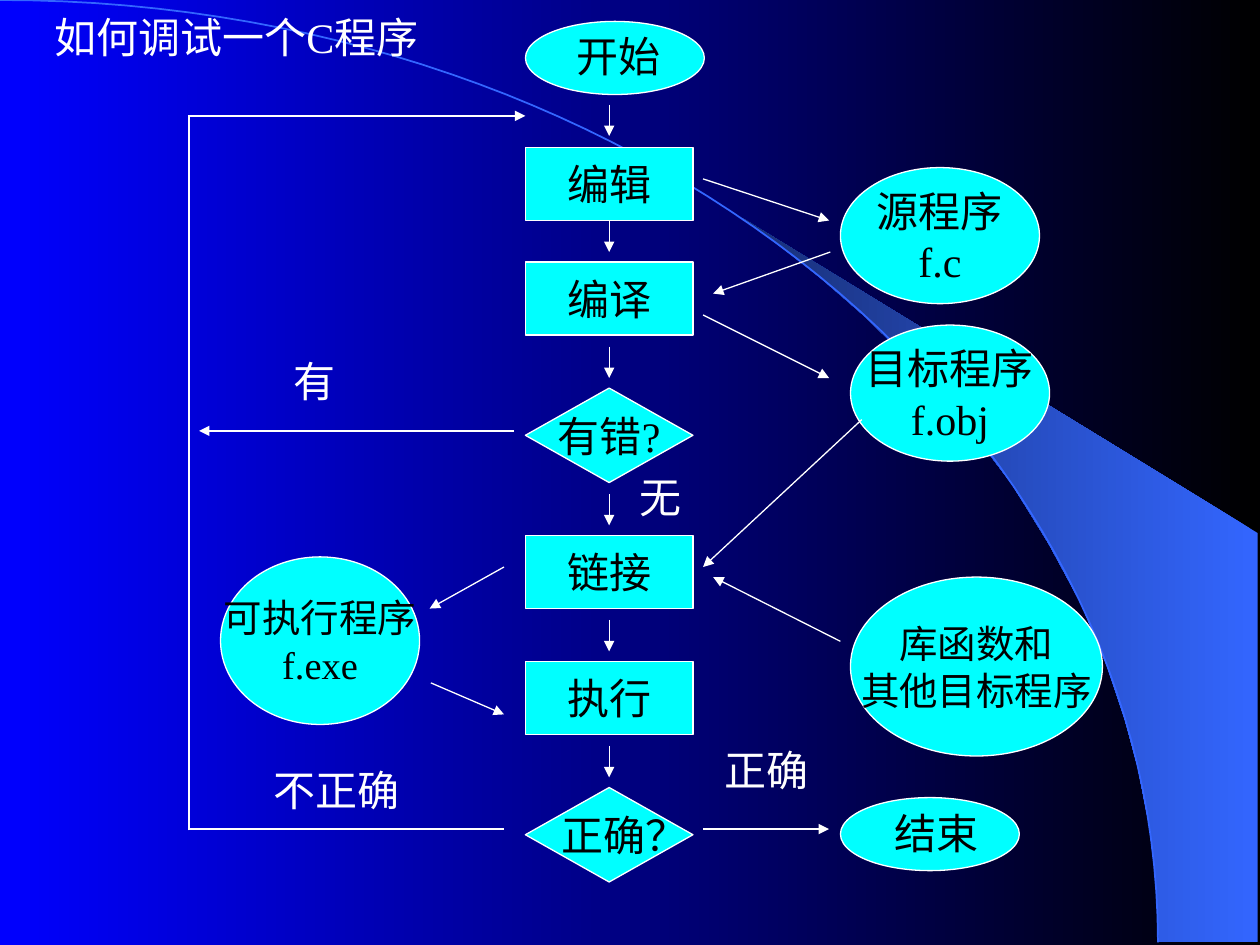
import pptx
import pptx.util
import pptx.dml.color
import pptx.enum.shapes
import pptx.enum.text
import pptx.oxml
import pptx.oxml.ns
import lxml.etree

Inches = pptx.util.Inches
Kind = pptx.enum.shapes.MSO_SHAPE
Anchor = pptx.enum.text.MSO_ANCHOR
Align = pptx.enum.text.PP_ALIGN
Fit = pptx.enum.text.MSO_AUTO_SIZE

THEME = {
    "font": "Times New Roman", "big": 24, "small": 22, "thin": 0.75, "arc": 1,
    "ink": "000000", "white": "FFFFFF", "node": "00FFFF",
    "night": "000000", "deep": "0000FF", "wing": "3366FF", "shade": "182F76",
}

TITLE = ("如何调试一个C程序", 0, 0, 3.75, 0.58)

MID = 4.17
STEPS = [
    ("rect", "编辑", 1.17), ("rect", "编译", 2.08), ("test", "有错?", 3.08),
    ("rect", "链接", 4.25), ("rect", "执行", 5.25), ("test", "正确？", 6.25),
]
FORMS = {"rect": (Kind.RECTANGLE, 0.58), "test": (Kind.DIAMOND, 0.75)}
NUDGE = {"正确？": 0.35}

OVALS = [
    ("", 4.17, 0.17, 1.42, 0.58, "big"),
    ("源程序\nf.c", 6.67, 1.33, 1.58, 1.08, "big"),
    ("目标程序\nf.obj", 6.75, 2.58, 1.58, 1.08, "big"),
    ("库函数和\n其他目标程序", 6.75, 4.58, 2, 1.42, "small"),
    ("可执行程序\nf.exe", 1.75, 4.42, 1.58, 1.33, "small"),
    ("", 6.67, 6.33, 1.42, 0.58, "big"),
]

PLAIN = [(1.5, 6.59, 1.5, 0.91), (1.5, 6.58, 4, 6.58)]
ARROWS = [
    (4.08, 3.42, 1.58, 3.42), (3.42, 5.42, 4, 5.67), (4, 4.5, 3.41, 4.83),
    (5.58, 1.42, 6.58, 1.75), (6.59, 2, 5.66, 2.33), (5.58, 2.5, 6.58, 3),
    (6.84, 3.33, 5.58, 4.5), (6.67, 5.09, 5.66, 4.58),
    (1.5, 0.92, 4.17, 0.92), (5.58, 6.58, 6.58, 6.58),
]
DROPS = [0.83, 1.75, 2.75, 3.92, 4.92, 5.92]

LABELS = [
    ("开始", 4.48, 0.19, 0.9, "ink"), ("结束", 7, 6.36, 0.9, "ink"),
    ("不正确", 2.07, 6.02, 1.23, "white"), ("有", 2.23, 2.77, 0.56, "white"),
    ("正确", 5.65, 5.86, 0.9, "white"), ("无", 4.98, 3.69, 0.56, "white"),
]

WING = [
    (9.2, 7.48), (9.98, 7.48), (9.98, 4.23), (5.89, 1.73), (6.24, 1.99),
    (6.53, 2.22), (6.85, 2.5), (7.16, 2.8), (7.62, 3.3), (8.03, 3.84),
    (8.32, 4.31), (8.58, 4.79), (8.78, 5.27), (8.93, 5.72), (9.03, 6.09),
    (9.12, 6.55), (9.17, 6.96),
]
CURVE = [(0, 0), (5.08, 0), (9.19, 3.35), (9.19, 7.48)]
CUTS = 60


def tint(key):
    return pptx.dml.color.RGBColor.from_string(THEME[key])


def apply(obj, look):
    for name, val in look.items():
        setattr(obj, name, val)


def blend(fill, *keys):
    fill.gradient()
    fill.gradient_angle = 180
    for stop, key in zip(fill.gradient_stops, keys):
        stop.color.rgb = tint(key)


def stroke(line, key="white", width="thin"):
    line.color.rgb = tint(key)
    line.width = pptx.util.Pt(THEME[width])


def write(shape, text, size="big", key="ink", align=Align.CENTER, **look):
    frame = shape.text_frame
    base = {"word_wrap": False, "vertical_anchor": Anchor.MIDDLE,
            "margin_left": Inches(0.1), "margin_right": Inches(0.1),
            "margin_top": Inches(0.05), "margin_bottom": Inches(0.05)}
    apply(frame, {**base, **look})
    frame.text = text
    for para in frame.paragraphs:
        para.alignment = align
        for run in para.runs:
            apply(run.font, {"name": THEME["font"],
                             "size": pptx.util.Pt(THEME[size])})
            run.font.color.rgb = tint(key)


def node(shapes, kind, box, text, size="big", left=0.1):
    shape = shapes.add_shape(kind, *map(Inches, box))
    shape.shadow.inherit = False
    shape.fill.solid()
    shape.fill.fore_color.rgb = tint("node")
    stroke(shape.line)
    if text:
        write(shape, text, size, margin_left=Inches(left))
    return shape


def link(shapes, ends, tip=True):
    line = shapes.add_connector(pptx.enum.shapes.MSO_CONNECTOR.STRAIGHT,
                                *map(Inches, ends))
    stroke(line.line)
    tag = pptx.oxml.ns.qn
    if tip:
        lxml.etree.SubElement(line.line._get_or_add_ln(), tag("a:tailEnd"),
                              type="triangle")
    lxml.etree.SubElement(line._element.spPr, tag("a:effectLst"))
    return line


def trace(shapes, dots, close):
    dots = [(Inches(x), Inches(y)) for x, y in dots]
    pen = shapes.build_freeform(*dots[0])
    pen.add_line_segments(dots[1:], close=close)
    shape = pen.convert_to_shape()
    shape.shadow.inherit = False
    return shape


def bend(t):
    parts = ((1 - t) ** 3, 3 * t * (1 - t) ** 2, 3 * t * t * (1 - t), t ** 3)
    return tuple(sum(p * c[i] for p, c in zip(parts, CURVE)) for i in (0, 1))


def main():
    deck = pptx.Presentation()
    apply(deck, {"slide_width": Inches(10), "slide_height": Inches(7.5)})
    slide = deck.slides.add_slide(deck.slide_layouts[6])
    shapes = slide.shapes
    blend(slide.background.fill, "night", "deep")

    wing = trace(shapes, WING, True)
    blend(wing.fill, "wing", "shade")
    wing.line.fill.background()
    arc = trace(shapes, [bend(i / CUTS) for i in range(CUTS + 1)], False)
    arc.fill.background()
    stroke(arc.line, "wing", "arc")

    text, *box = TITLE
    write(shapes.add_textbox(*map(Inches, box)), text, key="white",
          word_wrap=True)

    steps = {}
    for form, text, top in STEPS:
        kind, tall = FORMS[form]
        steps[text] = node(shapes, kind, (MID, top, 1.33, tall), text,
                           left=NUDGE.get(text, 0.1))
    for text, *box, size in OVALS:
        node(shapes, Kind.OVAL, box, text, size)

    for ends in PLAIN:
        link(shapes, ends, False)
    for ends in ARROWS:
        link(shapes, ends)
    axis = MID + 1.33 / 2
    drops = [link(shapes, (axis, y, axis, y + 0.25)) for y in DROPS]
    drops[1].begin_connect(steps["编辑"], 2)

    for text, x, y, wide, key in LABELS:
        write(shapes.add_textbox(*map(Inches, (x, y, wide, 0.5))), text,
              key=key, align=Align.LEFT, vertical_anchor=Anchor.TOP,
              auto_size=Fit.SHAPE_TO_FIT_TEXT)
    deck.save("out.pptx")


if __name__ == "__main__":
    main()
